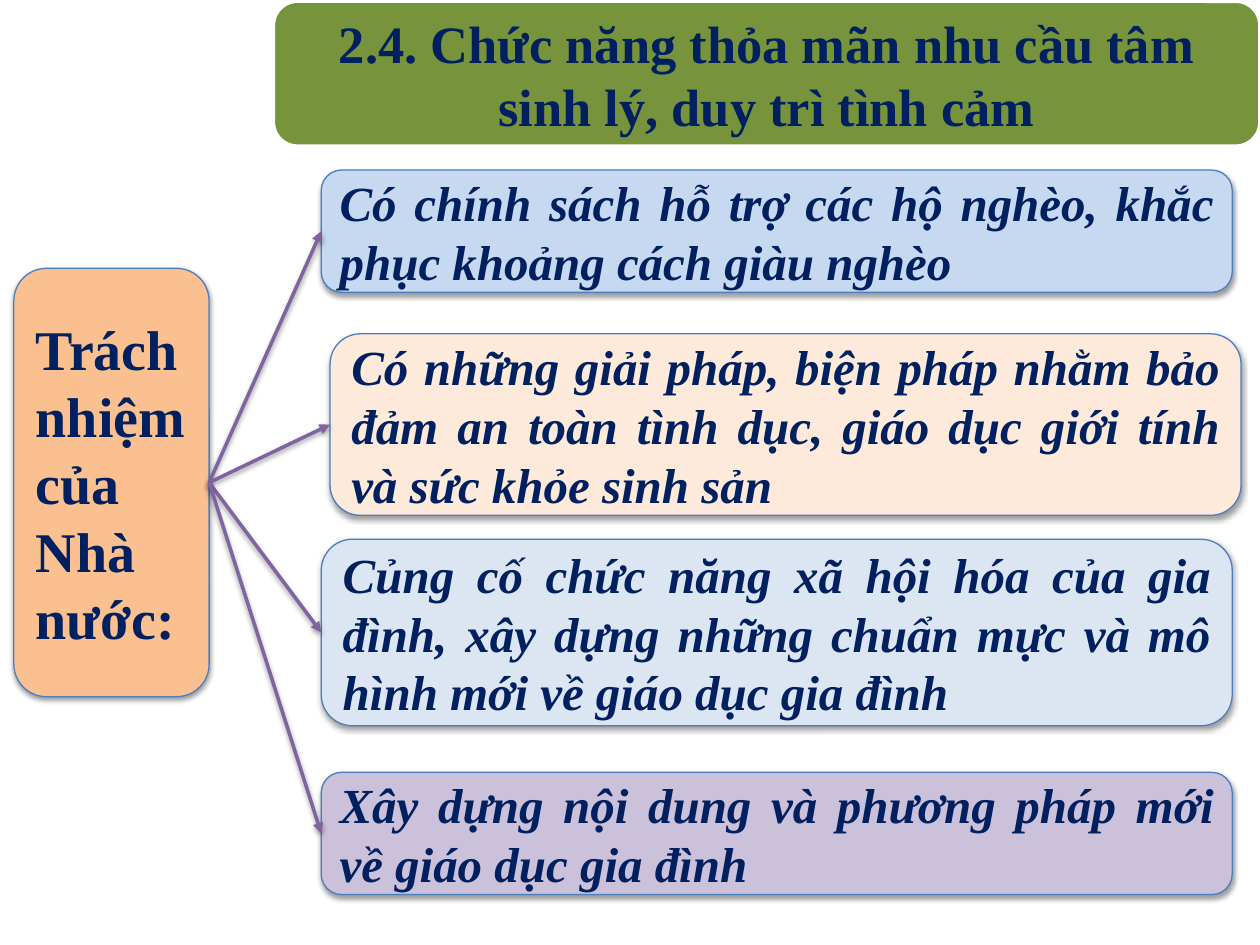
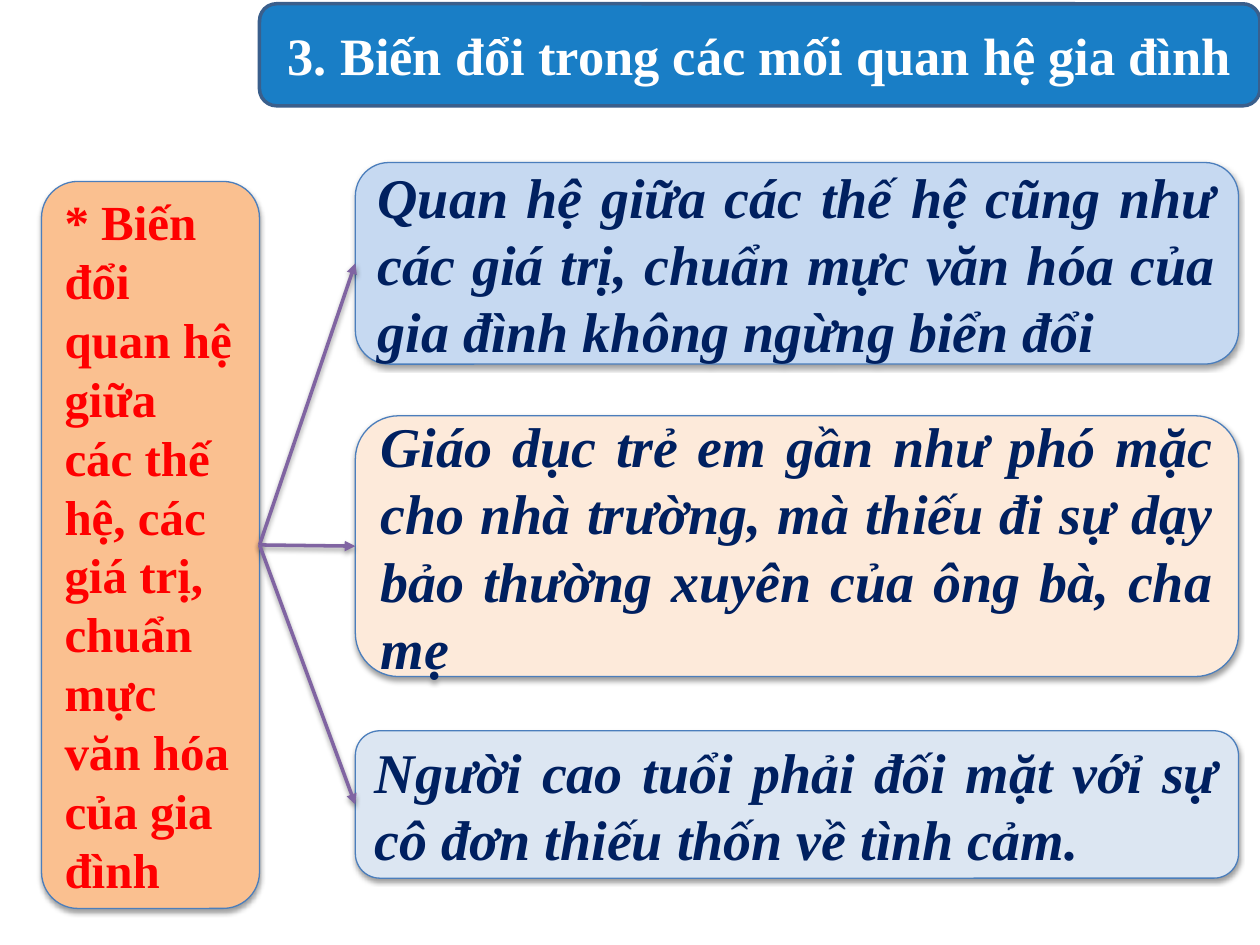
from collections import namedtuple

from lxml import etree
from pptx import Presentation
from pptx.dml.color import RGBColor
from pptx.enum.shapes import MSO_CONNECTOR as Connector, MSO_SHAPE as Preset
from pptx.enum.text import MSO_ANCHOR as Anchor, MSO_AUTO_SIZE as AutoSize, PP_ALIGN as Align
from pptx.oxml.ns import qn
from pptx.util import Inches, Pt

# Grid: 100 columns by 75 rows of square cells
COLUMNS, ROWS = 100, 75
WIDTH, HEIGHT = Inches(10), Inches(7.5)
FONT = "Times New Roman"

NAVY = RGBColor(0x00, 0x20, 0x60)
WHITE = RGBColor(0xFF, 0xFF, 0xFF)
RED = RGBColor(0xFF, 0x00, 0x00)
GREEN = RGBColor(0x77, 0x93, 0x3C)
BLUE = RGBColor(0x00, 0x70, 0xC0)
DARK_BLUE = RGBColor(0x3A, 0x5F, 0x8C)
OUTLINE = RGBColor(0x4B, 0x7E, 0xBC)
ORANGE = RGBColor(0xFA, 0xC0, 0x90)
SKY = RGBColor(0xC6, 0xD9, 0xF1)
PEACH = RGBColor(0xFD, 0xEA, 0xDA)
ICE = RGBColor(0xDC, 0xE6, 0xF2)
LILAC = RGBColor(0xCC, 0xC1, 0xDA)
PURPLE = RGBColor(0x80, 0x64, 0xA2)

Box = namedtuple("Box", "column row columns rows")
# Top and indent count from the diagram's corner and from its branch column
Branch = namedtuple("Branch", "text fill top rows indent", defaults=[0])
Hub = namedtuple("Hub", "text color size align top columns rows")

RIGHT_SIDE, LEFT_SIDE = 3, 1  # connection sites of a rounded rectangle


def on_grid(box):
    """Turn grid cells into slide lengths."""
    return (int(WIDTH * box.column / COLUMNS), int(HEIGHT * box.row / ROWS),
            int(WIDTH * box.columns / COLUMNS), int(HEIGHT * box.rows / ROWS))


def add_shadow(shape):
    """Soft shadow falling straight down."""
    effects = etree.SubElement(shape._element.spPr, qn("a:effectLst"))
    shadow = etree.SubElement(effects, qn("a:outerShdw"), blurRad=str(Pt(3.1)),
                              dist=str(Pt(1.6)), dir="5400000", rotWithShape="0")
    black = etree.SubElement(shadow, qn("a:srgbClr"), val="000000")
    etree.SubElement(black, qn("a:alpha"), val="38000")


def write(shape, text, size, color, align, italic=False):
    frame = shape.text_frame
    frame.text = text
    frame.word_wrap = True
    frame.auto_size = AutoSize.NONE
    frame.vertical_anchor = Anchor.MIDDLE
    paragraph = frame.paragraphs[0]
    paragraph.alignment = align
    for run in paragraph.runs:
        font = run.font
        font.name, font.size, font.bold, font.italic = FONT, Pt(size), True, italic
        font.color.rgb = color


def add_panel(slide, box, fill, line=OUTLINE, line_width=0.75):
    panel = slide.shapes.add_shape(Preset.ROUNDED_RECTANGLE, *on_grid(box))
    panel.fill.solid()
    panel.fill.fore_color.rgb = fill
    panel.line.color.rgb = line
    panel.line.width = Pt(line_width)
    return panel


def add_title(slide, box, text, fill, line, color, inset, opacity=100):
    """Banner with the slide title on top of it."""
    banner = add_panel(slide, box, fill, line, 2)
    banner.shadow.inherit = False
    if opacity < 100:
        tint = banner._element.spPr.find(qn("a:solidFill"))[0]
        etree.SubElement(tint, qn("a:alpha"), val=str(opacity * 1000))
    title = slide.shapes.title
    title.left, title.top, title.width, title.height = on_grid(box)
    write(title, text, 30, color, Align.CENTER)
    frame = title.text_frame
    frame.margin_left = frame.margin_right = Inches(inset)
    frame.margin_top = frame.margin_bottom = 0
    banner._element.addnext(title._element)


def add_arrow(slide, start, end):
    arrow = slide.shapes.add_connector(Connector.STRAIGHT, 0, 0, 0, 0)
    arrow.begin_connect(start, RIGHT_SIDE)
    arrow.end_connect(end, LEFT_SIDE)
    arrow.line.color.rgb = PURPLE
    arrow.line.width = Pt(2)
    etree.SubElement(arrow.line._get_or_add_ln(), qn("a:tailEnd"), type="triangle")
    add_shadow(arrow)


def add_diagram(slide, box, hub, branches, branch_column, branch_columns, size):
    """Hub on the left with an arrow to each branch on the right."""
    hub_box = Box(box.column, box.row + hub.top, hub.columns, hub.rows)
    hub_panel = add_panel(slide, hub_box, ORANGE)
    add_shadow(hub_panel)
    write(hub_panel, hub.text, hub.size, hub.color, hub.align)

    branch_panels = []
    for branch in branches:
        branch_box = Box(box.column + branch_column + branch.indent,
                         box.row + branch.top, branch_columns, branch.rows)
        panel = add_panel(slide, branch_box, branch.fill)
        add_shadow(panel)
        write(panel, branch.text, size, NAVY, Align.JUSTIFY, italic=True)
        branch_panels.append(panel)
    for panel in branch_panels:
        add_arrow(slide, hub_panel, panel)


def build_state_duties(slide):
    add_title(slide, Box(21.7, 0.1, 78.3, 11.5),
              "2.4. Chức năng thỏa mãn nhu cầu tâm sinh lý, duy trì tình cảm",
              GREEN, WHITE, NAVY, inset=0.29)
    hub = Hub("Trách nhiệm của Nhà nước:", NAVY, 32, Align.JUSTIFY, 7.8, 15.5, 34)
    branches = [
        Branch("Có chính sách hỗ trợ các hộ nghèo, khắc phục khoảng cách giàu nghèo",
               SKY, 0, 9.7),
        Branch("Có những giải pháp, biện pháp nhằm bảo đảm an toàn tình dục, "
               "giáo dục giới tính và sức khỏe sinh sản", PEACH, 13, 14.4, 0.7),
        Branch("Củng cố chức năng xã hội hóa của gia đình, xây dựng những chuẩn mực "
               "và mô hình mới về giáo dục gia đình", ICE, 29.3, 14.8),
        Branch("Xây dựng nội dung và phương pháp mới về giáo dục gia đình",
               LILAC, 47.8, 9.7),
    ]
    add_diagram(slide, Box(1.1, 13.5, 97.4, 57.5), hub, branches, 24.4, 72.3, 28)


def build_family_changes(slide):
    add_title(slide, Box(20.6, 0.3, 79.4, 8.1),
              "3. Biến đổi trong các mối quan hệ gia đình",
              BLUE, DARK_BLUE, WHITE, inset=0.14, opacity=90)
    hub = Hub("* Biến đổi quan hệ giữa các thế hệ, các giá trị, chuẩn mực văn hóa "
              "của gia đình", RED, 28, Align.LEFT, 1.5, 17.3, 57.7)
    branches = [
        Branch("Quan hệ giữa các thế hệ cũng như các giá trị, chuẩn mực văn hóa "
               "của gia đình không ngừng biển đổi", SKY, 0, 16),
        Branch("Giáo dục trẻ em gần như phó mặc cho nhà trường, mà thiếu đi sự dạy bảo "
               "thường xuyên của ông bà, cha mẹ", PEACH, 20.1, 20.7),
        Branch("Người cao tuổi phải đối mặt vớỉ sự cô đơn thiếu thốn về tình cảm.",
               ICE, 45.1, 11.7),
    ]
    add_diagram(slide, Box(3.3, 12.9, 95, 59.2), hub, branches, 24.9, 70.1, 32)


def main():
    deck = Presentation()
    deck.slide_width, deck.slide_height = WIDTH, HEIGHT
    title_only = deck.slide_layouts[5]
    for build in (build_state_duties, build_family_changes):
        build(deck.slides.add_slide(title_only))
    deck.save("out.pptx")


if __name__ == "__main__":
    main()
